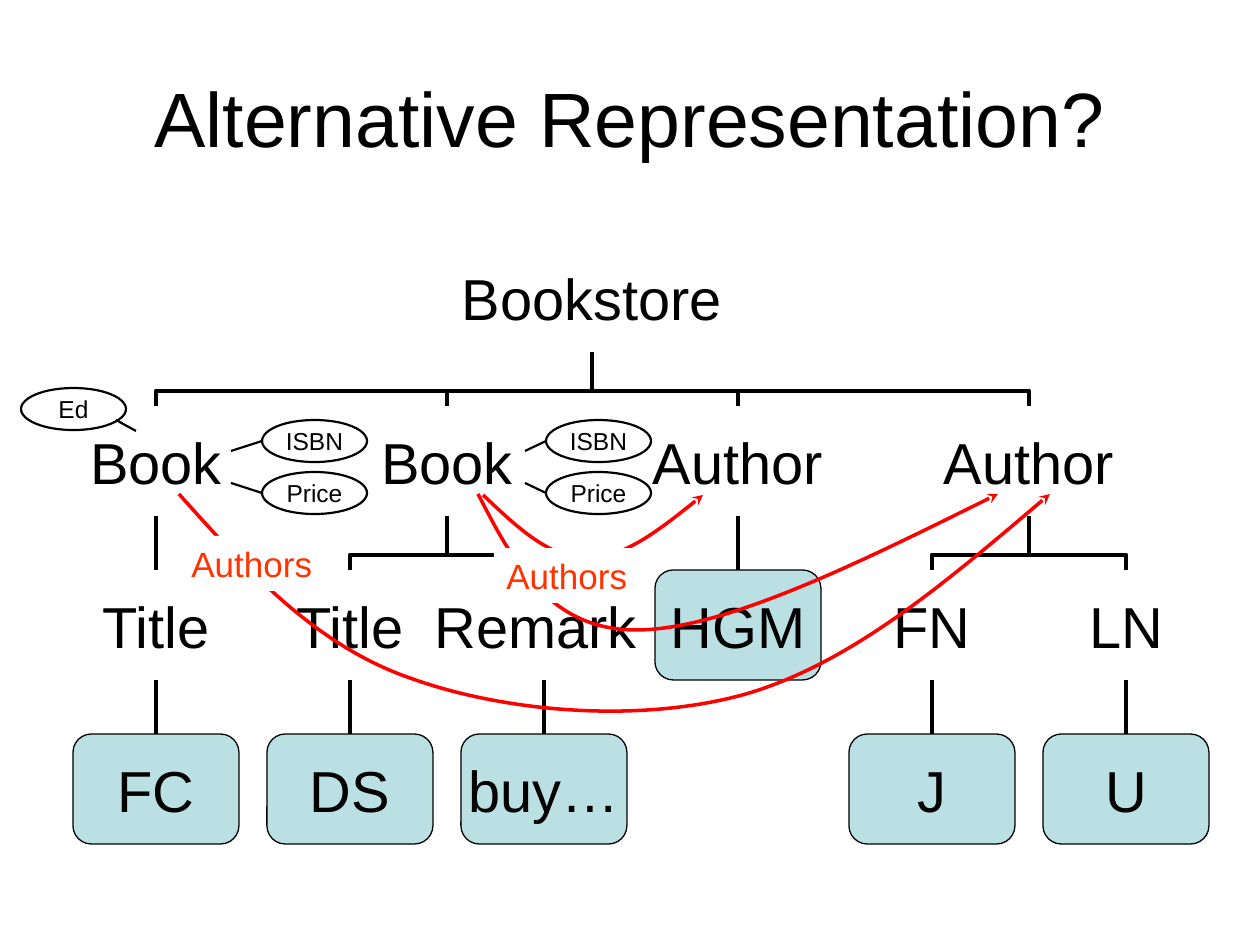
from lxml.etree import SubElement
from pptx import Presentation
from pptx.dml.color import RGBColor
from pptx.enum.shapes import MSO_CONNECTOR, MSO_SHAPE
from pptx.enum.text import MSO_ANCHOR, PP_ALIGN
from pptx.oxml.ns import qn
from pptx.util import Emu, Pt

PX = 914400 / 126
COLORS = {"black": "000000", "white": "FFFFFF", "leaf": "BBE0E3",
          "arrow": "FF0000", "label": "FF3300"}
NODE_WIDTH, NODE_HEIGHT = 166, 110
COLUMN_STEP, ROW_STEP = 194, 164
ELLIPSE_WIDTH, ELLIPSE_HEIGHT = 105, 42

BOOKSTORE = ("Bookstore", [
    ("Book", [("Title", [("FC", [])])]),
    ("Book", [("Title", [("DS", [])]), ("Remark ", [("buy…", [])])]),
    ("Author", [("HGM", [])]),
    ("Author", [("FN", [("J", [])]), ("LN", [("U", [])])]),
])
SHARED_CURVES = [
    [(5, 1), (39, 33), (71, 64), (109, 64), (146, 64), (185, 33), (225, 1)],
    [(0, 0), (35, 68), (71, 136), (158, 136), (245, 136), (383, 68), (520, 0)],
]
LONG_CURVES = [
    [(0, 0), (68, 76), (136, 151), (231, 184), (325, 218), (460, 230),
     (567, 200), (673, 169), (772, 84), (871, 0)],
]


def px(value):
    """Turn pixels into EMU."""
    return Emu(round(value * PX))


def color(name):
    """Look up a named colour."""
    return RGBColor.from_string(COLORS[name])


def style_line(line, name, width):
    """Give a line its colour and width in points."""
    line.color.rgb = color(name)
    line.width = Pt(width)


def write(shape, text, size, name="black", align=PP_ALIGN.CENTER,
          anchor=MSO_ANCHOR.MIDDLE, wrap=True):
    """Put one formatted paragraph into a shape."""
    frame = shape.text_frame
    frame.text = text
    frame.word_wrap = wrap
    frame.vertical_anchor = anchor
    paragraph = frame.paragraphs[0]
    paragraph.alignment = align
    font = paragraph.runs[0].font
    font.name = "Arial"
    font.size = Pt(size)
    font.color.rgb = color(name)


def add_box(shapes, kind, box, fill=None, outline=None):
    """Add a preset shape with an optional fill and outline width."""
    shape = shapes.add_shape(kind, *map(px, box))
    shape.shadow.inherit = False
    if fill:
        shape.fill.solid()
        shape.fill.fore_color.rgb = color(fill)
    else:
        shape.fill.background()
    if outline:
        style_line(shape.line, "black", outline)
    else:
        shape.line.fill.background()
    return shape


def add_line(shapes, kind, start, end, width):
    """Add a black connector without a shadow."""
    connector = shapes.add_connector(kind, *map(px, (*start, *end)))
    style_line(connector.line, "black", width)
    SubElement(connector._element.spPr, qn("a:effectLst"))
    return connector


def add_branch(shapes, child, parent):
    """Join the top of a child to the bottom of its parent."""
    (child_x, child_y), (parent_x, parent_y) = child, parent
    if child_x == parent_x:
        add_line(shapes, MSO_CONNECTOR.STRAIGHT, child, parent, 2.25)
        return
    middle_x, middle_y = (child_x + parent_x) / 2, (child_y + parent_y) / 2
    half_width = (child_y - parent_y) / 2
    half_height = abs(child_x - parent_x) / 2
    side = 1 if child_x < parent_x else -1
    connector = add_line(
        shapes, MSO_CONNECTOR.ELBOW,
        (middle_x + side * half_width, middle_y + half_height),
        (middle_x - side * half_width, middle_y - half_height), 2.25)
    properties = connector._element.spPr
    properties.find(qn("a:xfrm")).set("rot", str(side * 5400000 % 21600000))
    adjustments = properties.find(qn("a:prstGeom")).find(qn("a:avLst"))
    SubElement(adjustments, qn("a:gd"), name="adj1", fmla="val 28600")


def draw_tree(shapes, node, left, top):
    """Draw a node over its children; return its centre and column count."""
    label, children = node
    centers, columns = [], 0
    for child in children:
        center, count = draw_tree(shapes, child, left + columns * COLUMN_STEP,
                                  top + ROW_STEP)
        centers.append(center)
        columns += count
    if children:
        center = (centers[0] + centers[-1]) // 2
    else:
        center = left + NODE_WIDTH // 2
    for child_center in centers:
        add_branch(shapes, (child_center, top + ROW_STEP),
                   (center, top + NODE_HEIGHT))
    box = (center - NODE_WIDTH // 2, top, NODE_WIDTH, NODE_HEIGHT)
    style = {} if children else {"fill": "leaf", "outline": 0.75}
    shape = add_box(shapes, MSO_SHAPE.ROUNDED_RECTANGLE, box, **style)
    frame = shape.text_frame
    frame.margin_left = frame.margin_right = 0
    frame.margin_top = frame.margin_bottom = 0
    write(shape, label, 33, wrap=False)
    return center, max(columns, 1)


def draw_attribute(shapes, left, top, label, start, end):
    """Draw an attribute ellipse and its tie to a node."""
    box = (left, top, ELLIPSE_WIDTH, ELLIPSE_HEIGHT)
    write(add_box(shapes, MSO_SHAPE.OVAL, box, outline=1.25), label, 14,
          wrap=False)
    add_line(shapes, MSO_CONNECTOR.STRAIGHT,
             (left + start[0], top + start[1]),
             (left + end[0], top + end[1]), 1.25)


def draw_book_attributes(slide, left, top, reach):
    """Draw the ISBN and Price attributes of a book."""
    shapes = slide.shapes.add_group_shape().shapes
    middle = ELLIPSE_HEIGHT // 2
    for row, (label, drop) in enumerate([("ISBN", 10), ("Price", -10)]):
        draw_attribute(shapes, left, top + row * 52, label,
                       (0, middle), (-reach, middle + drop))


def add_curve(shapes, left, top, points):
    """Add a red Bézier arrow through groups of three points."""
    points = [(left + x, top + y) for x, y in points]
    builder = shapes.build_freeform(*points[0], scale=PX)
    builder.add_line_segments(points[1:], close=False)
    shape = builder.convert_to_shape()
    shape.shadow.inherit = False
    shape.fill.background()
    style_line(shape.line, "arrow", 2)
    outline = next(shape._element.iter(qn("a:path")))
    segments = outline.findall(qn("a:lnTo"))
    for first in range(0, len(segments), 3):
        curve = SubElement(outline, qn("a:cubicBezTo"))
        for segment in segments[first:first + 3]:
            curve.append(segment[0])
            outline.remove(segment)
    SubElement(shape.line._get_or_add_ln(), qn("a:tailEnd"), type="stealth")


def draw_author_links(slide, left, top, curves, label_offset):
    """Draw arrows from a book to its authors, with their label."""
    shapes = slide.shapes.add_group_shape().shapes
    for points in curves:
        add_curve(shapes, left, top, points)
    box = (left + label_offset[0], top + label_offset[1], 147, 55)
    label = add_box(shapes, MSO_SHAPE.RECTANGLE, box, fill="white")
    write(label, "Authors", 20, "label", PP_ALIGN.LEFT, MSO_ANCHOR.TOP)


def draw_title(slide, box):
    """Draw the slide title."""
    title = slide.shapes.add_textbox(*map(px, box))
    write(title, "Alternative Representation?", 44)


def main():
    """Build and save the presentation."""
    presentation = Presentation()
    presentation.slide_width, presentation.slide_height = px(1260), px(945)
    slide = presentation.slides.add_slide(presentation.slide_layouts[6])
    draw_tree(slide.shapes, BOOKSTORE, 73, 242)
    draw_author_links(slide, 478, 494, SHARED_CURVES, (16, 54))
    draw_title(slide, (63, 38, 1134, 158))
    draw_book_attributes(slide, 262, 420, 31)
    draw_book_attributes(slide, 546, 420, 21)
    edition = slide.shapes.add_group_shape().shapes
    draw_attribute(edition, 21, 388, "Ed", (115, 43), (95, 32))
    draw_author_links(slide, 179, 494, LONG_CURVES, (0, 42))
    presentation.save("out.pptx")


if __name__ == "__main__":
    main()
